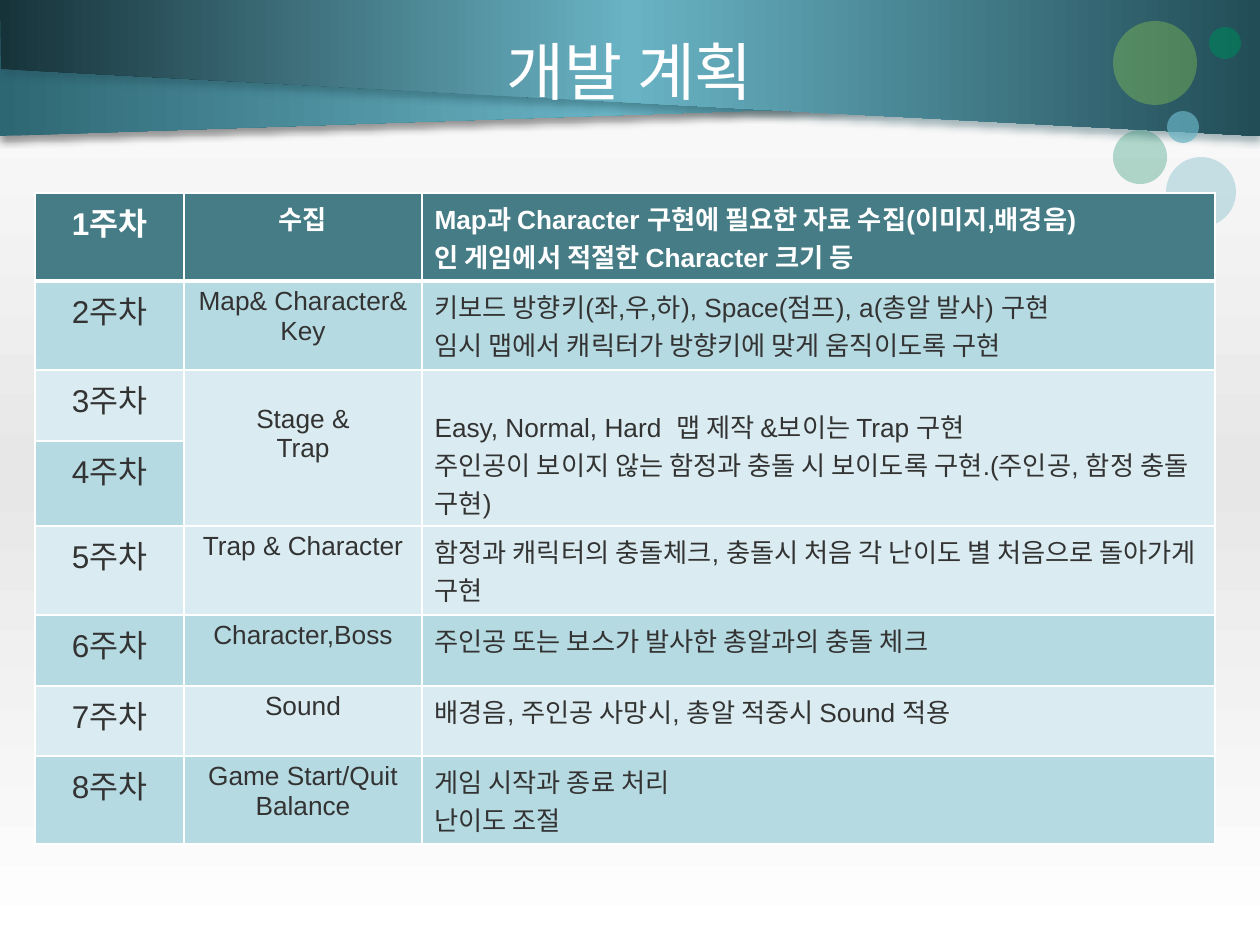
"""Build the weekly development plan slide."""
import pptx
import pptx.dml.color
import pptx.enum.shapes
import pptx.enum.text
import pptx.oxml
import pptx.oxml.ns
import pptx.util

RGB = pptx.dml.color.RGBColor
WHITE = RGB(0xFF, 0xFF, 0xFF)
SILVER = RGB(0xE7, 0xE7, 0xE7)
BLACK = RGB(0x00, 0x00, 0x00)
INK = RGB(0x33, 0x33, 0x33)
NIGHT = RGB(0x17, 0x33, 0x3A)
DEEP = RGB(0x22, 0x4D, 0x57)
TEAL = RGB(0x2E, 0x67, 0x74)
SKY = RGB(0x69, 0xB3, 0xC4)
GREEN = RGB(0x00, 0x82, 0x5A)
LIME = RGB(0x93, 0xD1, 0x51)
HEAD = RGB(0x45, 0x7C, 0x85)
BANDS = [RGB(0xDA, 0xEC, 0xF1), RGB(0xB6, 0xDA, 0xE2)]
NS = pptx.oxml.ns.nsdecls("a")
CENTER = pptx.enum.text.PP_ALIGN.CENTER
LEFT = pptx.enum.text.PP_ALIGN.LEFT


def px(n):
    return pptx.util.Emu(round(n * 9144000 / 1260))


def blend(fill, node, tones, angle):
    fill.gradient()
    fill.gradient_angle = angle
    stops = node.xpath(".//a:gsLst")[0]
    for stop in list(stops):
        stops.remove(stop)
    for i, tone in enumerate(tones):
        stops.append(pptx.oxml.parse_xml(
            f'<a:gs {NS} pos="{i * 50000}"><a:srgbClr val="{tone}"/></a:gs>'))


deck = pptx.Presentation()
deck.slide_width, deck.slide_height = px(1260), px(945)
slide = deck.slides.add_slide(deck.slide_layouts[6])
shapes = slide.shapes
blend(slide.background.fill, slide.element, [WHITE, SILVER, WHITE], 270)

waves = [
    ([(0, 0), (1218, 95), (0, 136)], [TEAL, SKY, DEEP], BLACK),
    ([(1260, 0), (0, 0), (1, 69), (1260, 136)], [NIGHT, SKY, DEEP], DEEP),
]
for points, tones, shade in waves:
    path = shapes.build_freeform(*points[0], scale=9144000 / 1260)
    path.add_line_segments(points[1:], close=True)
    wave = path.convert_to_shape()
    blend(wave.fill, wave.element, tones, 0)
    wave.line.fill.background()
    wave.shadow.inherit = False
    wave.element.xpath(".//a:effectLst")[0].append(pptx.oxml.parse_xml(
        f'<a:outerShdw {NS} blurRad="50800" dist="38100" dir="5400000">'
        f'<a:srgbClr val="{shade}"><a:alpha val="40000"/></a:srgbClr></a:outerShdw>'))

dots = [
    (1113, 130, 54, GREEN, 29), (1166, 157, 70, SKY, 35), (1167, 111, 32, SKY, 70),
    (1113, 21, 84, LIME, 36), (1209, 27, 32, GREEN, 65),
]
for x, y, size, tone, alpha in dots:
    dot = shapes.add_shape(pptx.enum.shapes.MSO_SHAPE.OVAL, px(x), px(y), px(size), px(size))
    dot.shadow.inherit = False
    dot.fill.solid()
    dot.fill.fore_color.rgb = tone
    dot.line.fill.background()
    dot.element.xpath("./p:spPr/a:solidFill/a:srgbClr")[0].append(
        pptx.oxml.parse_xml(f'<a:alpha {NS} val="{alpha * 1000}"/>'))

title = shapes.add_textbox(px(63), px(10), px(1134), px(120)).text_frame
title.word_wrap = True
title.vertical_anchor = pptx.enum.text.MSO_ANCHOR.MIDDLE
title.text = "개발 계획"
title.paragraphs[0].alignment = CENTER
font = title.paragraphs[0].runs[0].font
font.name, font.size, font.color.rgb = "Lato", pptx.util.Pt(36), WHITE

plan = [
    ("1주차", "수집",
     "Map과 Character 구현에 필요한 자료 수집(이미지,배경음)\n인 게임에서 적절한 Character 크기 등"),
    ("2주차", "Map& Character&\nKey",
     "키보드 방향키(좌,우,하), Space(점프), a(총알 발사) 구현\n"
     "임시 맵에서 캐릭터가 방향키에 맞게 움직이도록 구현"),
    ("3주차", "Stage &\nTrap",
     "Easy, Normal, Hard  맵 제작 &보이는 Trap 구현\n"
     "주인공이 보이지 않는 함정과 충돌 시 보이도록 구현.(주인공, 함정 충돌 구현)"),
    ("4주차", "", ""),
    ("5주차", "Trap & Character",
     "함정과 캐릭터의 충돌체크, 충돌시 처음 각 난이도 별 처음으로 돌아가게 구현"),
    ("6주차", "Character,Boss", "주인공 또는 보스가 발사한 총알과의 충돌 체크"),
    ("7주차", "Sound", "배경음, 주인공 사망시, 총알 적중시 Sound 적용"),
    ("8주차", "Game Start/Quit\nBalance", "게임 시작과 종료 처리\n난이도 조절"),
]
widths = [149, 238, 793]
heights = [88, 89, 71, 85, 89, 71, 70, 88]
table = shapes.add_table(
    len(plan), 3, px(35), px(193), px(sum(widths)), px(sum(heights))).table
for column, width in zip(table.columns, widths):
    column.width = px(width)
for row, height in zip(table.rows, heights):
    row.height = px(height)

for r, week in enumerate(plan):
    for c, words in enumerate(week):
        cell = table.cell(r, c)
        cell.fill.solid()
        cell.fill.fore_color.rgb = BANDS[r % 2] if r else HEAD
        edges = {"L": 1, "R": 1, "T": 3 if r == 1 else 1, "B": 1 if r else 3}
        for i, (side, width) in enumerate(edges.items()):
            cell._tc.get_or_add_tcPr().insert(i, pptx.oxml.parse_xml(
                f'<a:ln{side} {NS} w="{width * 12700}"><a:solidFill>'
                f'<a:srgbClr val="{WHITE}"/></a:solidFill></a:ln{side}>'))
        cell.text_frame.text = words
        for line in cell.text_frame.paragraphs:
            line.alignment = LEFT if c == 2 else CENTER
            for run in line.runs:
                run.font.name = "Arial"
                run.font.size = pptx.util.Pt(15 if c else 18)
                run.font.bold = r == 0
                run.font.color.rgb = INK if r else WHITE

for c, top in ((1, 35), (2, 37)):
    table.cell(2, c).merge(table.cell(3, c))
    table.cell(2, c).margin_top = px(top)

deck.save("out.pptx")
